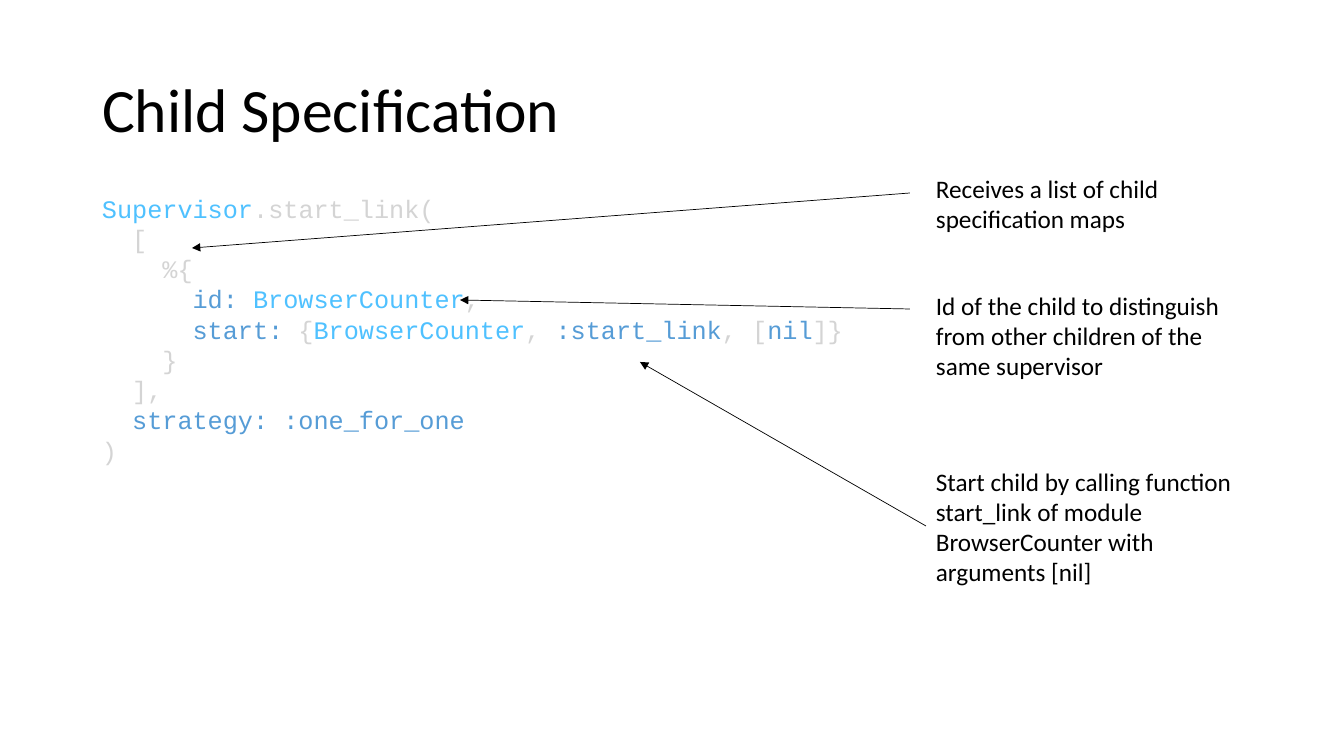
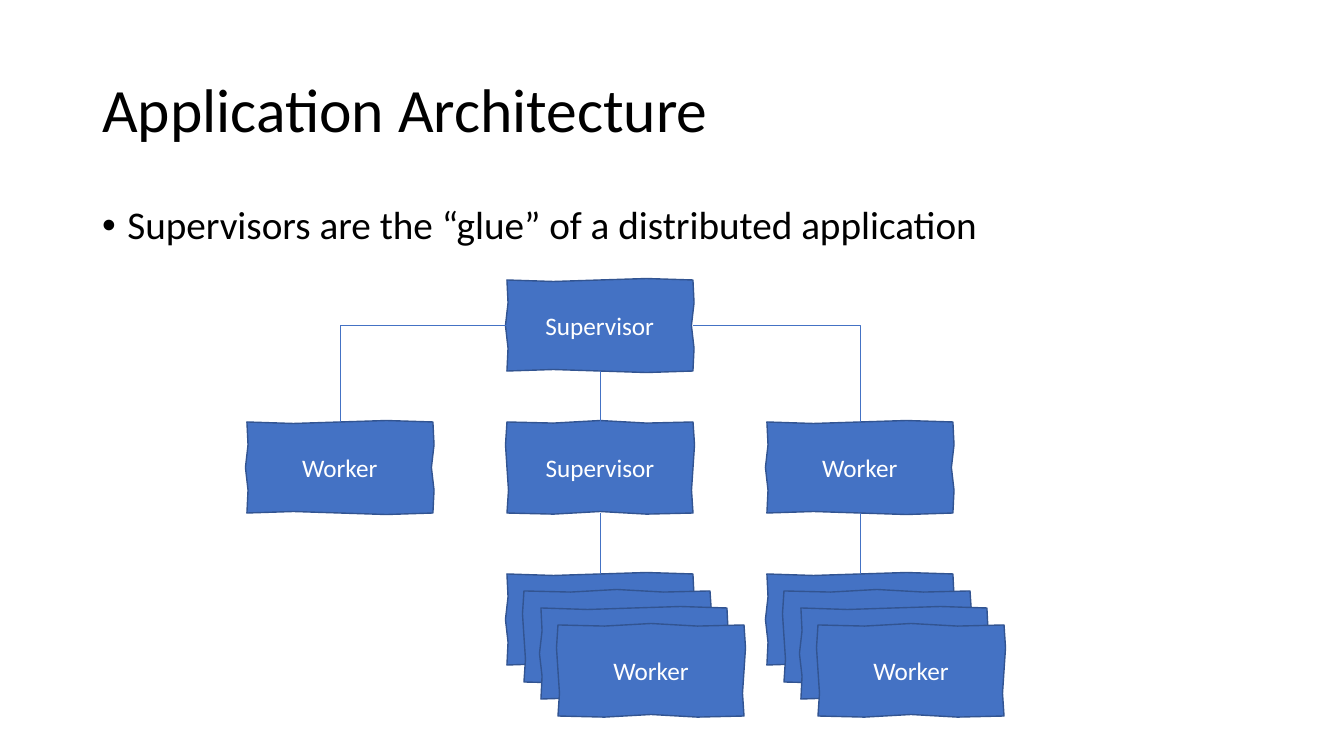
from math import pi, sin

from lxml import etree
from pptx import Presentation
from pptx import util as u
from pptx.dml.color import RGBColor
from pptx.enum import shapes, text
from pptx.oxml.ns import qn

WIDE, HIGH = 1344, 756
SCALE = 12192000 / WIDE
FONT, MONO = "Calibri", "Courier New"
HUES = {
    "ink": "000000", "white": "FFFFFF", "box": "4472C4", "edge": "325491",
    "name": "4FC1FF", "key": "569CD6", "code": "D4D4D4",
}

# Slide 1: indent level and coloured runs of each code line
CODE = [
    (0, [("Supervisor", "name"), (".start_link(", "code")]),
    (1, [("[", "code")]),
    (2, [("%{", "code")]),
    (3, [("id: ", "key"), ("BrowserCounter", "name"), (",", "code")]),
    (3, [("start:", "key"), (" {", "code"), ("BrowserCounter", "name"),
         (", ", "code"), (":start_link", "key"), (", [", "code"),
         ("nil", "key"), ("]}", "code")]),
    (2, [("}", "code")]),
    (1, [("],", "code")]),
    (1, [("strategy: :one_for_one", "key")]),
    (0, [(")", "code")]),
]
# Note top, height, wording, arrow start and arrow tip
NOTES = [
    (168, 72, "Receives a list of child specification maps",
     (910, 193), (192, 248)),
    (285, 102, "Id of the child to distinguish from other children of the "
     "same supervisor", (910, 309), (460, 300)),
    (461, 132, "Start child by calling function start_link of module "
     "BrowserCounter with arguments [nil]", (926, 526), (640, 362)),
]

# Slide 2: box grid
BOX_W, BOX_H = 186, 91
COLS = [247 + 260 * i for i in range(3)]
ROWS = [280, 422, 574]
STACK, STEP = 4, 17
WAVE, BENDS = 1.5, 4


def px(n):
    return u.Emu(round(n * SCALE))


def hue(key):
    return RGBColor.from_string(HUES[key])


def add_run(para, words, size, key, font=FONT):
    run = para.add_run()
    run.text = words
    run.font.size = u.Pt(size)
    run.font.name = font
    run.font.color.rgb = hue(key)


def indent(para, left, first=0):
    props = para._p.get_or_add_pPr()
    props.set("marL", str(left))
    props.set("indent", str(first))


def place(shape, x, y, w, h):
    shape.left, shape.top, shape.width, shape.height = map(px, (x, y, w, h))


def fill_holder(holder, spot, words, size, anchor):
    place(holder, *spot)
    frame = holder.text_frame
    frame.auto_size = text.MSO_AUTO_SIZE.NONE
    frame.vertical_anchor = anchor
    para = frame.paragraphs[0]
    para.alignment = text.PP_ALIGN.LEFT
    para.line_spacing = 0.9
    add_run(para, words, size, "ink")
    return para


def new_slide(deck, layout, title):
    slide = deck.slides.add_slide(deck.slide_layouts[layout])
    fill_holder(slide.shapes.title, (92, 40, 1159, 146), title, 44,
                text.MSO_ANCHOR.MIDDLE)
    return slide


def add_text(slide, x, y, w, h):
    frame = slide.shapes.add_textbox(*map(px, (x, y, w, h))).text_frame
    frame.word_wrap = True
    return frame


def add_code(slide):
    frame = add_text(slide, 92, 186, 907, 316)
    frame.margin_top = px(7)
    for i, (level, runs) in enumerate(CODE):
        para = frame.add_paragraph() if i else frame.paragraphs[0]
        para.line_spacing = u.Pt(21.6)
        indent(para, level * u.Pt(21.6))
        for words, key in runs:
            add_run(para, words, 18, key, MONO)


def add_line(slide, start, end, key, arrow=False, bent=False):
    kind = shapes.MSO_CONNECTOR.ELBOW if bent else shapes.MSO_CONNECTOR.STRAIGHT
    line = slide.shapes.add_connector(kind, *map(px, start + end))
    line.line.color.rgb = hue(key)
    line.line.width = u.Pt(0.5)
    props = line.element.spPr
    if bent:
        props.find(qn("a:prstGeom")).set("prst", "bentConnector2")
    if arrow:
        etree.SubElement(props.find(qn("a:ln")), qn("a:tailEnd"),
                         type="triangle")
    etree.SubElement(props, qn("a:effectLst"))


def wavy(x, y, turn):
    """Outline of a hand-drawn box, in tenths of a px."""
    ends = [(x, y), (x + BOX_W, y), (x + BOX_W, y + BOX_H), (x, y + BOX_H)]
    dots = []
    for side, (ax, ay) in enumerate(ends):
        bx, by = ends[(side + 1) % 4]
        waves = 2 + (side + turn) % 2
        flat = side % 2 == 0
        for i in range(BENDS):
            t = i / BENDS
            off = WAVE * sin(pi * waves * t)
            dots.append((round(10 * (ax + (bx - ax) * t + off * (not flat))),
                         round(10 * (ay + (by - ay) * t + off * flat))))
    return dots


def add_box(slide, x, y, words="", turn=0):
    dots = wavy(x, y, turn)
    pen = slide.shapes.build_freeform(*dots[0], scale=SCALE / 10)
    pen.add_line_segments(dots[1:], close=True)
    box = pen.convert_to_shape()
    box.shadow.inherit = False
    box.fill.solid()
    box.fill.fore_color.rgb = hue("box")
    box.line.color.rgb = hue("edge")
    box.line.width = u.Pt(1)
    if words:
        frame = box.text_frame
        frame.vertical_anchor = text.MSO_ANCHOR.MIDDLE
        para = frame.paragraphs[0]
        para.alignment = text.PP_ALIGN.CENTER
        add_run(para, words, 18, "white")


def add_stack(slide, x, y, words):
    for i in range(STACK):
        add_box(slide, x + i * STEP, y + i * STEP,
                words if i == STACK - 1 else "", i)


def spec_slide(deck):
    slide = new_slide(deck, 5, "Child Specification")
    add_code(slide)
    for top, high, words, start, tip in NOTES:
        frame = add_text(slide, 926, top, 325, high)
        add_run(frame.paragraphs[0], words, 18, "ink")
        add_line(slide, start, tip, "ink", arrow=True)


def tree_slide(deck):
    slide = new_slide(deck, 1, "Application Architecture")
    para = fill_holder(slide.placeholders[1], (92, 201, 1159, 480),
                       "Supervisors are the “glue” of a distributed application",
                       28, text.MSO_ANCHOR.TOP)
    para.space_before = u.Pt(10)
    indent(para, u.Inches(0.25), -u.Inches(0.25))

    # Boxes
    add_box(slide, COLS[1], ROWS[0], "Supervisor")
    for i, words in enumerate(["Worker", "Supervisor", "Worker"]):
        add_box(slide, COLS[i], ROWS[1], words, i)
    for x in COLS[1:]:
        add_stack(slide, x, ROWS[2], "Worker")

    # Links
    mids = [x + BOX_W // 2 for x in COLS]
    for col, row in [(1, 0), (1, 1), (2, 1)]:
        add_line(slide, (mids[col], ROWS[row] + BOX_H),
                 (mids[col], ROWS[row + 1]), "box")
    for x, col in [(COLS[1], 0), (COLS[1] + BOX_W, 2)]:
        add_line(slide, (x, ROWS[0] + BOX_H // 2), (mids[col], ROWS[1]),
                 "box", bent=True)


def main():
    deck = Presentation()
    deck.slide_width, deck.slide_height = px(WIDE), px(HIGH)
    spec_slide(deck)
    tree_slide(deck)
    deck.save("out.pptx")


if __name__ == "__main__":
    main()
